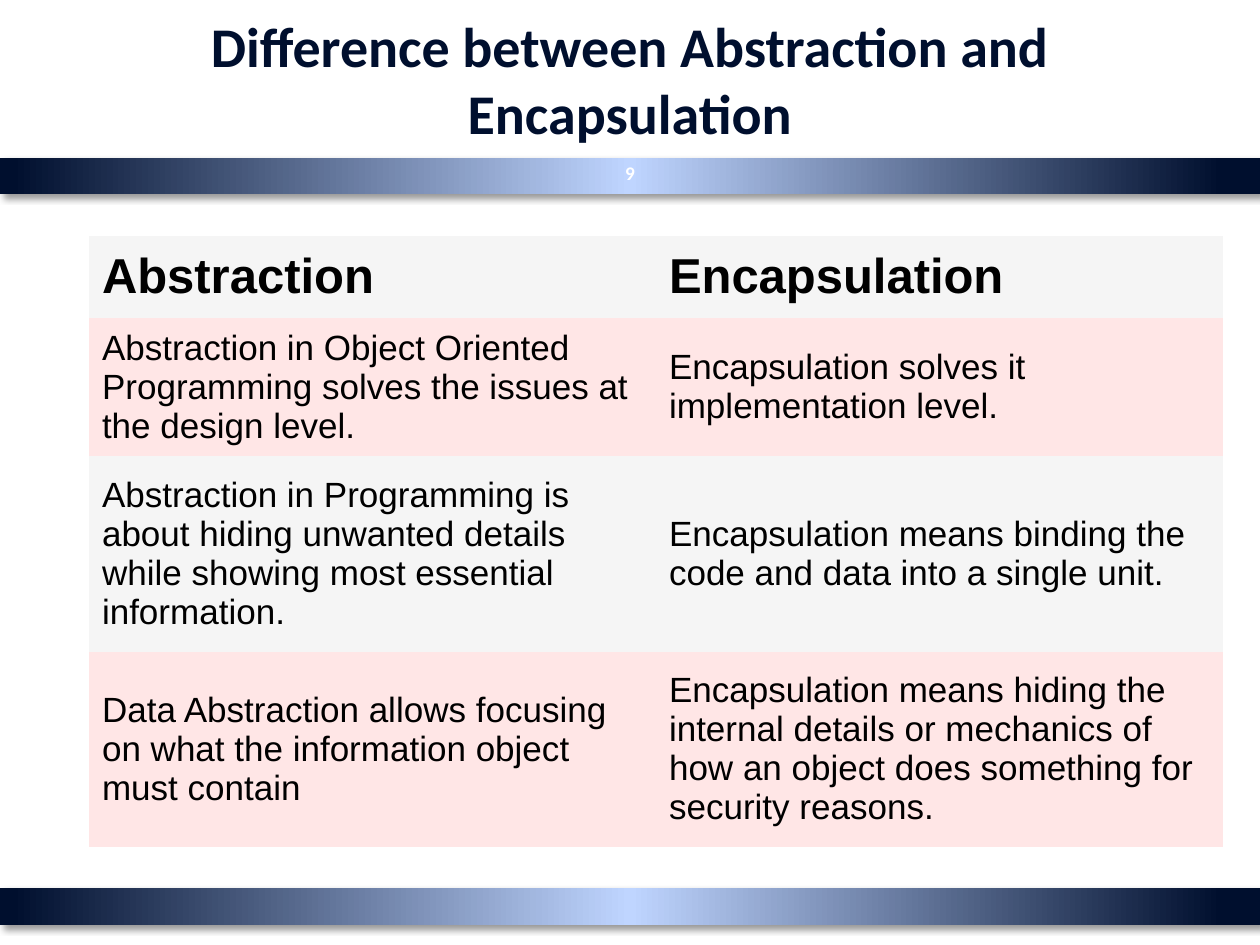
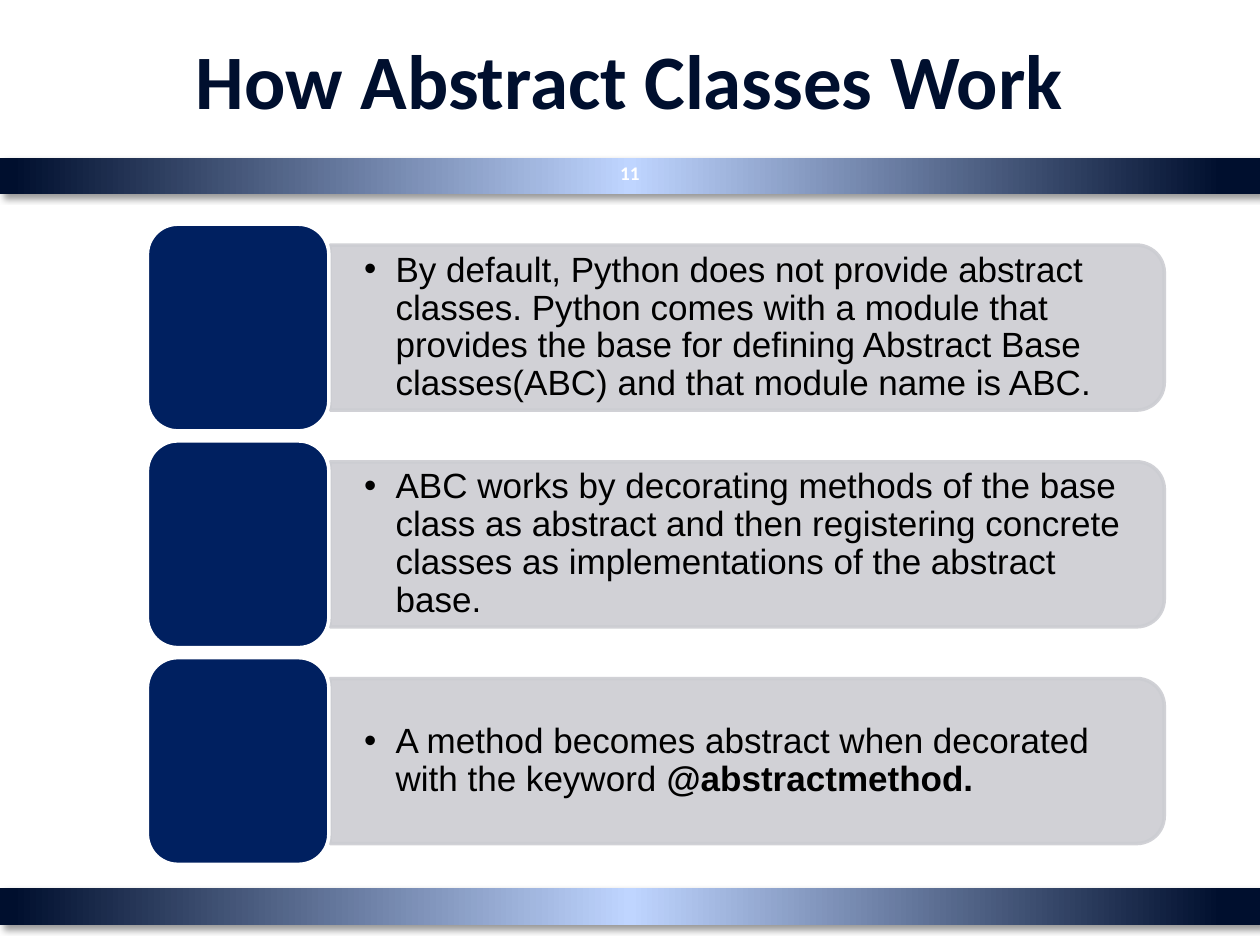
from dataclasses import dataclass

from lxml import etree
from pptx import Presentation
from pptx.dml.color import RGBColor as RGB
from pptx.enum.shapes import MSO_SHAPE as SHAPE
from pptx.enum.text import MSO_ANCHOR as ANCHOR, PP_ALIGN as ALIGN
from pptx.oxml import parse_xml
from pptx.oxml.ns import nsdecls, qn
from pptx.util import Emu, Inches, Pt


# Theme: colours, fonts and type sizes
@dataclass(frozen=True)
class Theme:
    navy: str = "000F2E"
    glow: str = "BFD5FF"
    tile: str = "002060"
    bar: str = "CCCDD2"
    white: str = "FFFFFF"
    black: str = "000000"
    stripes: tuple[str, str] = ("F5F5F5", "FFE6E6")
    heading_font: str = "Calibri"
    body_font: str = "Arial"
    title_size: int = 44
    long_title_size: int = 32
    header_size: int = 28
    body_size: int = 20
    number_size: int = 11


T = Theme()
WIDTH, HEIGHT = Inches(10), Inches(7.5)
COLS, ROWS = 100, 75
NO_GRID_STYLE = "{2D5ABB26-0587-4C30-8999-92F81FD0307C}"


def cols(n: float) -> Emu:
    return Emu(round(n * WIDTH / COLS))


def rows(n: float) -> Emu:
    return Emu(round(n * HEIGHT / ROWS))


@dataclass(frozen=True)
class Box:
    """A place on the slide, in grid columns and rows."""
    x: float
    y: float
    w: float
    h: float

    def place(self) -> tuple[Emu, Emu, Emu, Emu]:
        return cols(self.x), rows(self.y), cols(self.w), rows(self.h)

    def on_side(self) -> "Box":
        """The frame that covers this box after a quarter turn."""
        shift = (self.w - self.h) / 2
        return Box(self.x + shift, self.y - shift, self.h, self.w)


@dataclass(frozen=True)
class Step:
    text: str
    strong: str = ""


BANDS = (Box(0, 70.5, COLS, 2.9), Box(0, 12.5, COLS, 2.9))
TITLE = Box(5, 0, 90, 12.5)
NUMBER = Box(47.9, 11.7, 4.2, 4)
TABLE = Box(7.1, 18.7, 90, 48.5)
TABLE_ROWS = (6.5, 11, 15.5, 15.5)
STEP_TOP, STEP_PITCH = 17.8, 17.2
TILE_H, BAR_H, TEXT_H = 16.4, 13.1, 11.8

COMPARISON = (
    ("Abstraction", "Encapsulation"),
    ("Abstraction in Object Oriented Programming solves the issues at the design level.",
     "Encapsulation solves it implementation level."),
    ("Abstraction in Programming is about hiding unwanted details while showing "
     "most essential information.",
     "Encapsulation means binding the code and data into a single unit."),
    ("Data Abstraction allows focusing on what the information object must contain",
     "Encapsulation means hiding the internal details or mechanics of how an object "
     "does something for security reasons."),
)
STEPS = (
    Step("By default, Python does not provide abstract classes. Python comes with a module "
         "that provides the base for defining Abstract Base classes(ABC) and that module "
         "name is ABC."),
    Step("ABC works by decorating methods of the base class as abstract and then registering "
         "concrete classes as implementations of the abstract base."),
    Step("A method becomes abstract when decorated with the keyword ", "@abstractmethod."),
)


# Drawing helpers
def style(r, font: str, size: int, color: str, bold: bool = False) -> None:
    r.font.name, r.font.size, r.font.bold = font, Pt(size), bold
    r.font.color.rgb = RGB.from_string(color)


def add_shape(s, kind: SHAPE, box: Box, fill: str, line: str | None = None):
    sp = s.shapes.add_shape(kind, *box.place())
    sp.shadow.inherit = False
    sp.fill.solid()
    sp.fill.fore_color.rgb = RGB.from_string(fill)
    if line:
        sp.line.color.rgb = RGB.from_string(line)
        sp.line.width = Pt(2)
    else:
        sp.line.fill.background()
    return sp


def add_text(s, box: Box, text: str, wrap: bool = True):
    tf = s.shapes.add_textbox(*box.place()).text_frame
    tf.text, tf.word_wrap, tf.vertical_anchor = text, wrap, ANCHOR.MIDDLE
    return tf


def add_heading(s, box: Box, text: str, size: int, color: str, wrap: bool = True) -> None:
    p = add_text(s, box, text, wrap).paragraphs[0]
    p.alignment = ALIGN.CENTER
    style(p.runs[0], T.heading_font, size, color, bold=True)


def add_band(s, box: Box) -> None:
    sp = add_shape(s, SHAPE.RECTANGLE, box, T.navy)
    stops = "".join(
        f'<a:gs pos="{pos * 1000}"><a:srgbClr val="{color}"/></a:gs>'
        for pos, color in ((0, T.navy), (3, T.navy), (50, T.glow), (99, T.navy), (100, T.navy)))
    pr = sp.element.spPr
    pr.replace(pr.find(qn("a:solidFill")), parse_xml(
        f'<a:gradFill {nsdecls("a")}><a:gsLst>{stops}</a:gsLst>'
        '<a:lin ang="10800000" scaled="0"/></a:gradFill>'))
    pr.replace(pr.find(qn("a:effectLst")), parse_xml(
        f'<a:effectLst {nsdecls("a")}><a:outerShdw blurRad="{Pt(4)}" dist="{Pt(3)}" '
        f'dir="2700000" algn="tl" rotWithShape="0"><a:srgbClr val="{T.black}">'
        '<a:alpha val="40000"/></a:srgbClr></a:outerShdw></a:effectLst>'))


def add_slide(prs, title: str, size: int, number: int):
    s = prs.slides.add_slide(prs.slide_layouts[6])
    for band in BANDS:
        add_band(s, band)
    add_heading(s, TITLE, title, size, T.navy)
    add_heading(s, NUMBER, str(number), T.number_size, T.white, wrap=False)
    return s


def add_comparison(s) -> None:
    frame = s.shapes.add_table(len(COMPARISON), 2, *TABLE.place())
    table = frame.table
    table.first_row = table.horz_banding = False
    table._tbl.tblPr.find(qn("a:tableStyleId")).text = NO_GRID_STYLE
    for i, (texts, height) in enumerate(zip(COMPARISON, TABLE_ROWS)):
        table.rows[i].height = rows(height)
        for j, text in enumerate(texts):
            cell = table.cell(i, j)
            cell.text_frame.text = text
            cell.vertical_anchor = ANCHOR.MIDDLE
            cell.fill.solid()
            cell.fill.fore_color.rgb = RGB.from_string(T.stripes[i % 2])
            style(cell.text_frame.paragraphs[0].runs[0], T.body_font,
                  T.body_size if i else T.header_size, T.black, bold=i == 0)


def add_bullet(p) -> None:
    p.line_spacing = 0.9
    pr = p._p.get_or_add_pPr()
    pr.set("marL", str(Inches(0.25)))
    pr.set("indent", str(-Inches(0.25)))
    color = etree.SubElement(pr, qn("a:buClr"))
    etree.SubElement(color, qn("a:srgbClr")).set("val", T.black)
    etree.SubElement(pr, qn("a:buFont")).set("typeface", T.body_font)
    etree.SubElement(pr, qn("a:buChar")).set("char", "•")


def add_step(s, step: Step, top: float) -> None:
    middle = top + TILE_H / 2

    # Bar rounded on its right end
    bar = Box(26.2, middle - BAR_H / 2, 66.2, BAR_H)
    sp = add_shape(s, SHAPE.ROUND_2_SAME_RECTANGLE, bar.on_side(), T.bar, T.bar)
    sp.rotation = 90
    for color in sp.element.spPr.iter(qn("a:srgbClr")):
        etree.SubElement(color, qn("a:alpha")).set("val", "90000")

    # Bulleted text
    tf = add_text(s, Box(26.2, middle - TEXT_H / 2, 65.6, TEXT_H), step.text)
    tf.margin_left = tf.margin_right = cols(2.7)
    tf.margin_top = tf.margin_bottom = rows(1.4)
    p = tf.paragraphs[0]
    add_bullet(p)
    style(p.runs[0], T.body_font, T.body_size, T.black)
    if step.strong:
        r = p.add_run()
        r.text = step.strong
        style(r, T.body_font, T.body_size, T.black, bold=True)

    # Tile at the left
    add_shape(s, SHAPE.ROUNDED_RECTANGLE, Box(11.7, top, 14.4, TILE_H), T.tile, T.white)


def main() -> None:
    prs = Presentation()
    prs.slide_width, prs.slide_height = WIDTH, HEIGHT

    # Comparison table
    s = add_slide(prs, "Difference between Abstraction and Encapsulation",
                  T.long_title_size, 9)
    add_comparison(s)

    # Three steps
    s = add_slide(prs, "How Abstract Classes Work", T.title_size, 11)
    for i, step in enumerate(STEPS):
        add_step(s, step, STEP_TOP + i * STEP_PITCH)

    prs.save("out.pptx")


if __name__ == "__main__":
    main()
